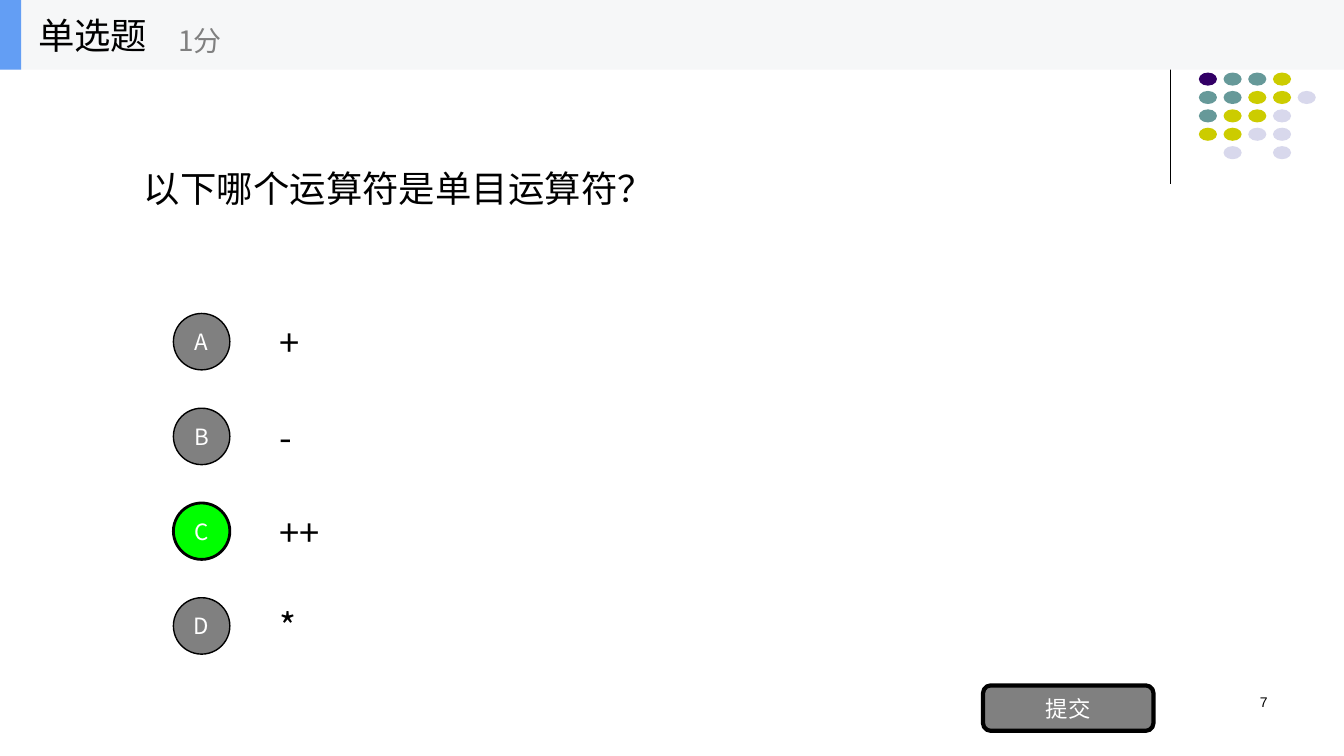
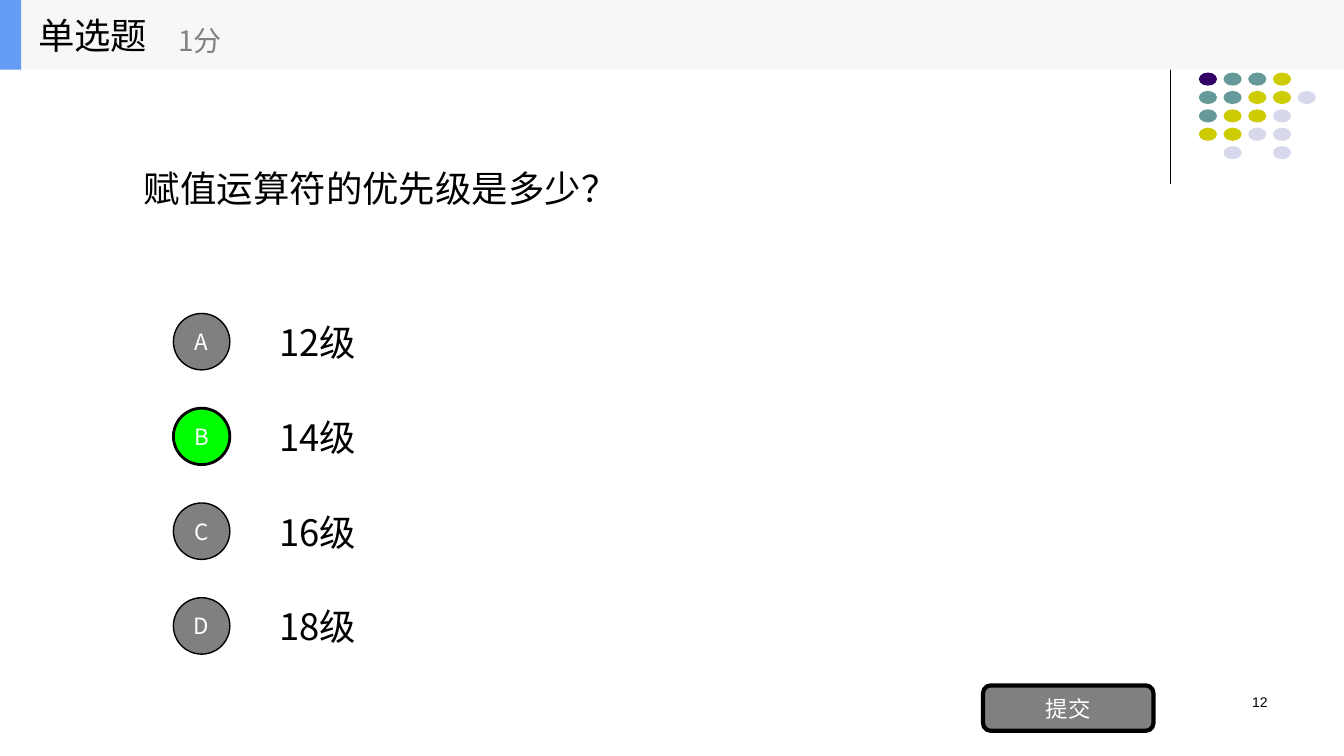
from lxml import etree
from pptx import Presentation
from pptx.dml.color import RGBColor
from pptx.enum.shapes import MSO_CONNECTOR, MSO_SHAPE
from pptx.enum.text import MSO_ANCHOR, PP_ALIGN
from pptx.oxml.ns import qn
from pptx.util import Inches, Pt

# Palette and fonts
BLACK = RGBColor(0x00, 0x00, 0x00)
WHITE = RGBColor(0xFF, 0xFF, 0xFF)
GRAY = RGBColor(0x80, 0x80, 0x80)
GREEN = RGBColor(0x00, 0xFF, 0x00)
BAND = RGBColor(0xF6, 0xF7, 0xF8)
BLUE = RGBColor(0x63, 0x9E, 0xF4)
PURPLE = RGBColor(0x33, 0x00, 0x66)
TEAL = RGBColor(0x66, 0x99, 0x99)
OLIVE = RGBColor(0xCC, 0xCC, 0x00)
LAVENDER = RGBColor(0xD8, 0xD8, 0xEC)
CJK_FONT = "Noto Sans CJK SC"
NUMBER_FONT = "Arial"

# Dot ornament: one letter per dot, a space for a gap
DOT_ROWS = ["PTTO", "TTOOL", "TOOL", "OOLL", " L L"]
DOT_COLORS = {"P": PURPLE, "T": TEAL, "O": OLIVE, "L": LAVENDER}

SLIDE_WIDTH, SLIDE_HEIGHT = 13.33, 7.5
BAND_HEIGHT = 0.69
OPTION_TOP, OPTION_PITCH = 3.11, 0.94

# Page number, question, (option, text box width) pairs, right answer
QUESTIONS = [
    (7, "以下哪个运算符是单目运算符？",
     [("+", 0.57), ("-", 0.46), ("++", 0.84), ("*", 0.47)], "C"),
    (12, "赋值运算符的优先级是多少？",
     [("12级", 1.09), ("14级", 1.09), ("16级", 1.09), ("18级", 1.09)], "B"),
]


class QuizDeck:
    def __init__(self):
        self.presentation = Presentation()
        self.presentation.slide_width = Inches(SLIDE_WIDTH)
        self.presentation.slide_height = Inches(SLIDE_HEIGHT)
        self.slide = None

    def new_slide(self):
        self.slide = self.presentation.slides.add_slide(self.presentation.slide_layouts[6])

    def set_text(self, shape, text, size, color, align=PP_ALIGN.LEFT,
                 font=CJK_FONT, anchor=MSO_ANCHOR.MIDDLE):
        frame = shape.text_frame
        frame.word_wrap = True
        frame.vertical_anchor = anchor
        frame.text = text
        paragraph = frame.paragraphs[0]
        paragraph.alignment = align
        run = paragraph.runs[0]
        run.font.size = Pt(size)
        run.font.name = font
        run.font.color.rgb = color
        east_asian = etree.SubElement(run._r.get_or_add_rPr(), qn("a:ea"))
        east_asian.set("typeface", font)

    def text(self, left, top, width, height, text, size, color=BLACK, **style):
        box = self.slide.shapes.add_textbox(
            Inches(left), Inches(top), Inches(width), Inches(height))
        self.set_text(box, text, size, color, **style)

    def shape(self, kind, left, top, width, height, fill, line_width=0):
        shape = self.slide.shapes.add_shape(
            kind, Inches(left), Inches(top), Inches(width), Inches(height))
        shape.shadow.inherit = False
        shape.fill.solid()
        shape.fill.fore_color.rgb = fill
        if line_width:
            shape.line.color.rgb = BLACK
            shape.line.width = Pt(line_width)
        else:
            shape.line.fill.background()
        return shape

    def button(self, kind, left, top, width, height, text, fill, line_width):
        shape = self.shape(kind, left, top, width, height, fill, line_width)
        frame = shape.text_frame
        frame.margin_left = frame.margin_right = 0
        frame.margin_top = frame.margin_bottom = 0
        self.set_text(shape, text, 16, WHITE, align=PP_ALIGN.CENTER)

    def ornament(self):
        line = self.slide.shapes.add_connector(
            MSO_CONNECTOR.STRAIGHT, Inches(11.61), Inches(0.17), Inches(11.61), Inches(1.83))
        line.line.color.rgb = BLACK
        line.line.width = Pt(0.75)
        etree.SubElement(line._element.spPr, qn("a:effectLst"))
        for row, dots in enumerate(DOT_ROWS):
            for column, dot in enumerate(dots):
                if dot in DOT_COLORS:
                    self.shape(MSO_SHAPE.OVAL, 11.89 + column * 0.98 / 4,
                               0.72 + row * 0.73 / 4, 0.18, 0.13, DOT_COLORS[dot])

    def header(self, title, points):
        self.shape(MSO_SHAPE.RECTANGLE, 0, 0, SLIDE_WIDTH, BAND_HEIGHT, BAND)
        self.shape(MSO_SHAPE.RECTANGLE, 0, 0, 0.21, BAND_HEIGHT, BLUE)
        self.text(0.28, 0, 2.08, BAND_HEIGHT, title, 26)
        self.text(1.67, 0.12, 2.5, 0.56, points, 20, GRAY)

    def option(self, index, text, width, answer):
        letter = "ABCD"[index]
        top = OPTION_TOP + index * OPTION_PITCH
        fill, line_width = (GREEN, 2) if letter == answer else (GRAY, 1)
        self.text(2.67, top + 0.02, width, 0.53, text, 26)
        self.button(MSO_SHAPE.OVAL, 1.72, top, 0.56, 0.56, letter, fill, line_width)

    def question(self, number, question, options, answer):
        self.new_slide()
        self.ornament()
        self.text(9.56, 6.83, 3.11, 0.5, str(number), 10, align=PP_ALIGN.RIGHT,
                  font=NUMBER_FONT, anchor=MSO_ANCHOR.TOP)
        # The question box fits its full-width characters
        self.text(1.33, 1.6, 0.36 * len(question) + 0.32, 0.53, question, 26)
        for index, (text, width) in enumerate(options):
            self.option(index, text, width, answer)
        self.button(MSO_SHAPE.ROUNDED_RECTANGLE, 9.75, 6.8, 1.69, 0.45, "提交", GRAY, 3)
        self.header("单选题", "1分")


def main():
    deck = QuizDeck()
    for question in QUESTIONS:
        deck.question(*question)
    deck.presentation.save("out.pptx")


if __name__ == "__main__":
    main()
